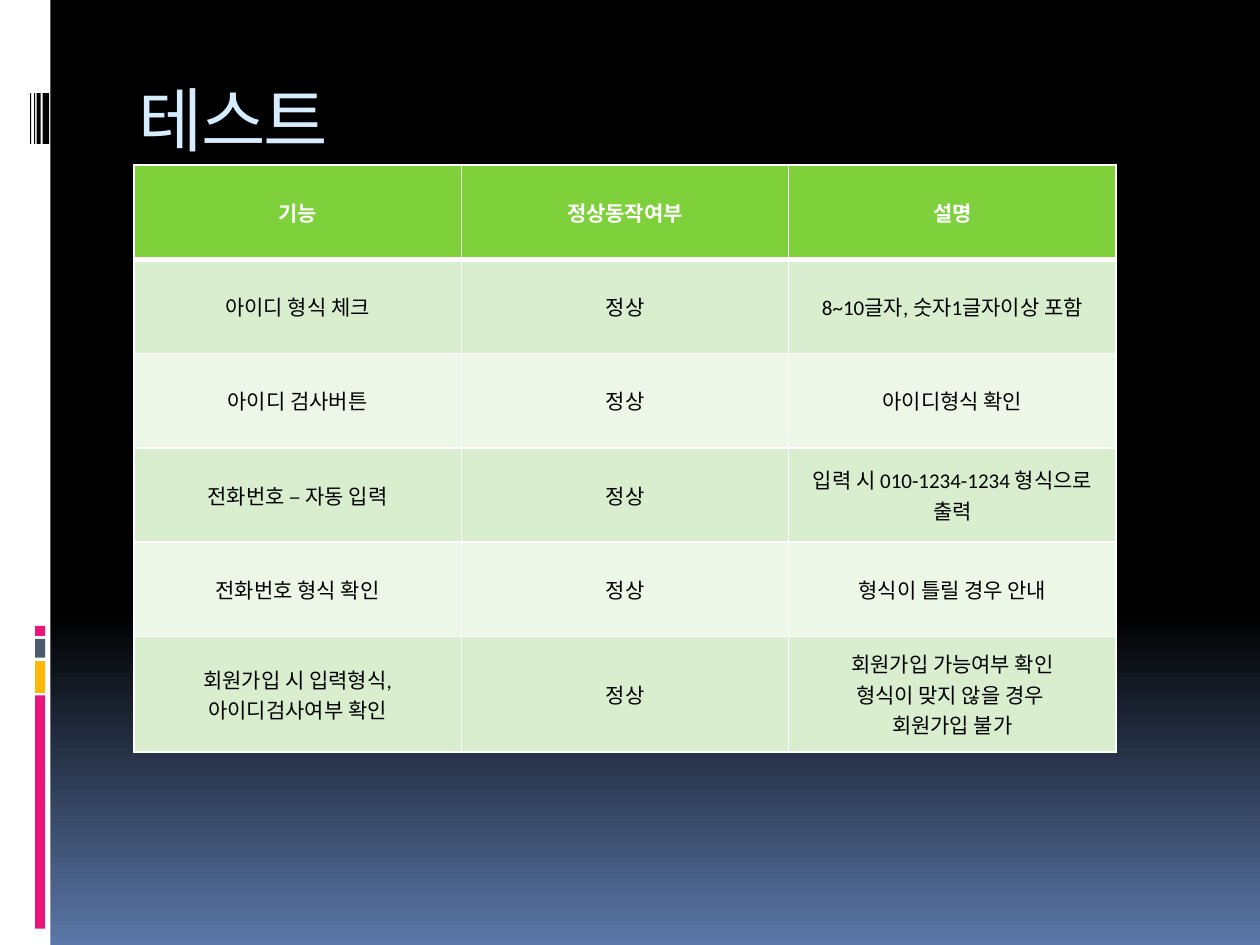
from pptx import Presentation
from pptx import util as u
from pptx.dml.color import RGBColor
from pptx.enum import shapes, text
from pptx.oxml import parse_xml
from pptx.oxml.ns import nsdecls

# Content
TITLE = "테스트"
ROWS = [
    ("기능", "정상동작여부", "설명"),
    ("아이디 형식 체크", "정상", "8~10글자, 숫자1글자이상 포함"),
    ("아이디 검사버튼", "정상", "아이디형식 확인"),
    ("전화번호 – 자동 입력", "정상", "입력 시 010-1234-1234 형식으로 출력"),
    ("전화번호 형식 확인", "정상", "형식이 틀릴 경우 안내"),
    ("회원가입 시 입력형식, 아이디검사여부 확인", "정상",
     "회원가입 가능여부 확인\n형식이 맞지 않을 경우 \n회원가입 불가"),
]
HEADER_FILL, BAND_FILLS = "7FD13B", ("D8EECE", "ECF7E8")
COL_WIDTH, ROW_HEIGHT, LAST_HEIGHT = 6.6, 1.9, 2.33

# Side decoration in cm: left, top, width, height, colour
SIDE_BARS = [(0, 0, 1.02, 19.05, "FFFFFF")]
SIDE_BARS += [(0.71, top, 0.2, height, colour) for top, height, colour in (
    (14.02, 4.7, "EA157A"), (13.33, 0.64, "FEB80A"),
    (12.88, 0.38, "4E5B6F"), (12.62, 0.2, "EA157A"))]
SIDE_BARS += [(left, 1.88, width, 1.02, "000000") for left, width in (
    (0.86, 0.13), (0.74, 0.08), (0.69, 0.02), (0.61, 0.02))]


def rgb(colour):
    return RGBColor.from_string(colour)


def paint(part, colour):
    part.fill.solid()
    part.fill.fore_color.rgb = rgb(colour)


def set_borders(cell, bottom):
    tc_pr = cell._tc.get_or_add_tcPr()
    for i, (side, width) in enumerate((("L", 1), ("R", 1), ("T", 1), ("B", bottom))):
        tc_pr.insert(i, parse_xml(
            f'<a:ln{side} {nsdecls("a")} w="{u.Pt(width)}"><a:solidFill>'
            f'<a:srgbClr val="FFFFFF"/></a:solidFill></a:ln{side}>'))


prs = Presentation()
prs.slide_width, prs.slide_height = u.Cm(25.4), u.Cm(19.05)
s = prs.slides.add_slide(prs.slide_layouts[5])

# Background: black fading to blue at the bottom
bg = s.background.fill
bg.gradient()
bg.gradient_angle = 270
for stop, (position, colour) in zip(bg.gradient_stops, ((0.65, "000000"), (1, "5B77A8"))):
    stop.position = position
    stop.color.rgb = rgb(colour)

# Side bars
for left, top, width, height, colour in SIDE_BARS:
    sp = s.shapes.add_shape(shapes.MSO_SHAPE.RECTANGLE,
                            u.Cm(left), u.Cm(top), u.Cm(width), u.Cm(height))
    paint(sp, colour)
    sp.line.fill.background()
    sp.shadow.inherit = False

# Title
title = s.shapes.title
title.left, title.top, title.width, title.height = map(u.Cm, (2.54, 1.42, 21.59, 2.54))
tf = title.text_frame
tf.text = TITLE
tf.auto_size = text.MSO_AUTO_SIZE.NONE
tf.vertical_anchor = text.MSO_ANCHOR.TOP
p = tf.paragraphs[0]
p.alignment = text.PP_ALIGN.LEFT
p.font.name, p.font.size = "Courier New", u.Pt(40)
p.font.color.rgb = rgb("D6ECFF")
p.runs[0].font._element.set("spc", "-100")

# Test table
heights = [ROW_HEIGHT] * (len(ROWS) - 1) + [LAST_HEIGHT]
columns = len(ROWS[0])
table = s.shapes.add_table(len(ROWS), columns, u.Cm(2.7), u.Cm(3.33),
                           u.Cm(COL_WIDTH * columns), u.Cm(sum(heights))).table
for column in table.columns:
    column.width = u.Cm(COL_WIDTH)
for i, (values, height) in enumerate(zip(ROWS, heights)):
    header = i == 0
    table.rows[i].height = u.Cm(height)
    for cell, value in zip(table.rows[i].cells, values):
        cell.text = value
        cell.vertical_anchor = text.MSO_ANCHOR.MIDDLE
        paint(cell, HEADER_FILL if header else BAND_FILLS[(i - 1) % 2])
        set_borders(cell, 3 if header else 1)
        if i == 1:
            cell._tc.tcPr.find("{*}lnT").set("w", str(u.Pt(3)))
        for p in cell.text_frame.paragraphs:
            p.alignment = text.PP_ALIGN.CENTER
            p.font.name, p.font.size, p.font.bold = "Calibri", u.Pt(12), header
            p.font.color.rgb = rgb("FFFFFF" if header else "000000")

prs.save("out.pptx")
